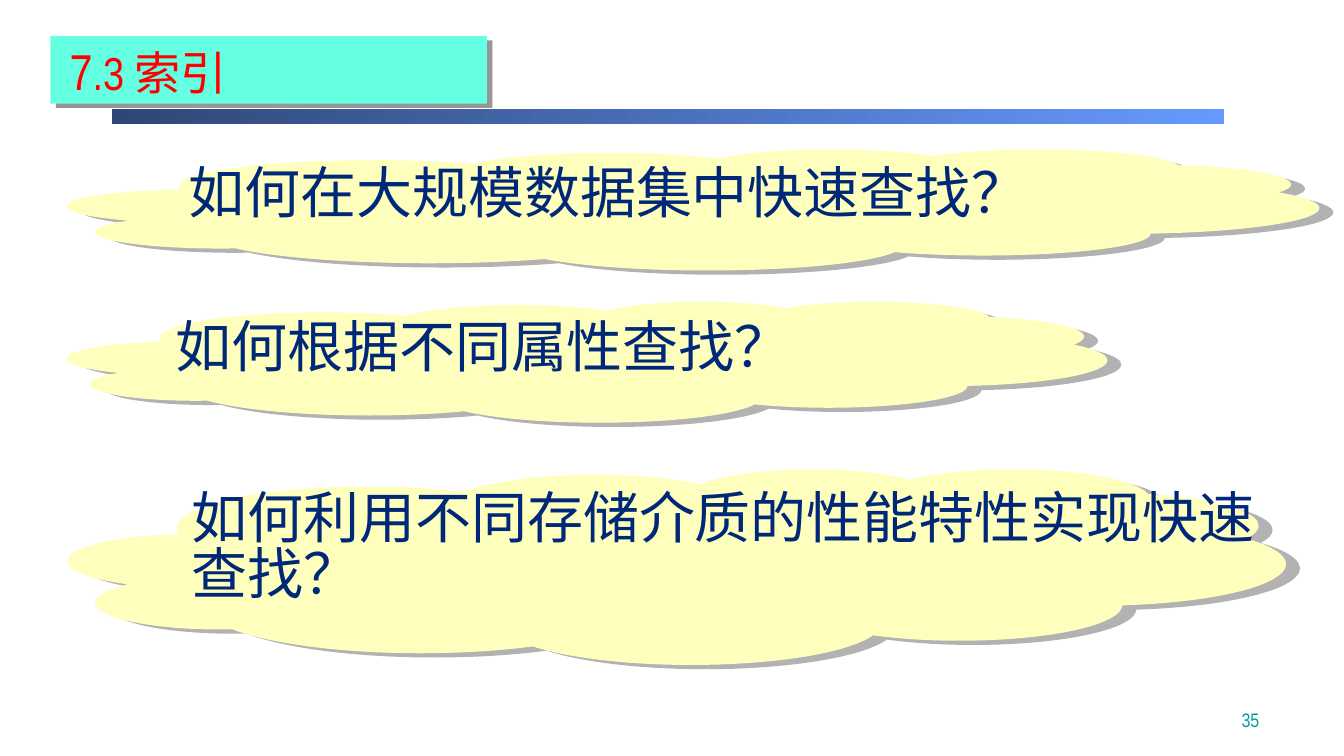
from lxml import etree
from pptx import Presentation
from pptx.dml.color import RGBColor
from pptx.enum.shapes import MSO_SHAPE
from pptx.enum.text import MSO_ANCHOR, PP_ALIGN
from pptx.oxml.ns import qn
from pptx.util import Inches, Pt

RECTANGLE, CLOUD = MSO_SHAPE.RECTANGLE, MSO_SHAPE.CLOUD_CALLOUT
TOP, BOTTOM = MSO_ANCHOR.TOP, MSO_ANCHOR.BOTTOM
LEFT, RIGHT = PP_ALIGN.LEFT, PP_ALIGN.RIGHT

NAVY = RGBColor(0x00, 0x28, 0x78)
CREAM = RGBColor(0xFF, 0xFF, 0xBD)
MINT = RGBColor(0x65, 0xFF, 0xE2)
RED = RGBColor(0xFF, 0x00, 0x00)
BLACK = RGBColor(0x00, 0x00, 0x00)
TEAL = RGBColor(0x00, 0x9E, 0xA1)
LIGHT_GREY = RGBColor(0xB2, 0xB2, 0xB2)
GREY = RGBColor(0x96, 0x96, 0x96)
BAR_DARK = RGBColor(0x2F, 0x47, 0x76)
BAR_LIGHT = RGBColor(0x66, 0x99, 0xFF)

LATIN, CHINESE = "Arial Narrow", "Noto Sans CJK SC"


def add_shadow(properties, color, distance, angle):
    """Append an outer shadow to shape or text properties."""
    effects = etree.SubElement(properties, qn("a:effectLst"))
    shadow = etree.SubElement(effects, qn("a:outerShdw"), dist=str(Pt(distance)),
                              dir=str(angle * 60000), algn="ctr", rotWithShape="0")
    etree.SubElement(shadow, qn("a:srgbClr"), val=str(color))


def add_text(para, text, size, color, font=LATIN, shadow=False):
    span = para.add_run()
    span.text = text
    span.font.size = Pt(size)
    span.font.bold = False
    span.font.color.rgb = color
    properties = span._r.get_or_add_rPr()
    if shadow:
        add_shadow(properties, BLACK, 2, 45)
    span.font.name = font
    etree.SubElement(properties, qn("a:ea"), typeface=font)


class Page:
    def __init__(self, deck):
        self.slide = deck.slides.add_slide(deck.slide_layouts[5])
        self.shapes = self.slide.shapes

    def shape(self, kind, place, color=None, shadow=None):
        item = self.shapes.add_shape(kind, *map(Inches, place))
        item.line.fill.background()
        if color is not None:
            item.fill.solid()
            item.fill.fore_color.rgb = color
        if shadow:
            add_shadow(item._element.spPr, *shadow)
        else:
            item.shadow.inherit = False
        return item

    def gradient_bar(self, place, colors):
        bar = self.shape(RECTANGLE, place)
        bar.fill.gradient()
        bar.fill.gradient_angle = 0
        for stop, color in zip(bar.fill.gradient_stops, colors):
            stop.color.rgb = color

    def format_frame(self, box, anchor, align, left=0.1, top=0.05):
        frame = box.text_frame
        frame.word_wrap = True
        frame.vertical_anchor = anchor
        frame.margin_left, frame.margin_top = Inches(left), Inches(top)
        para = frame.paragraphs[0]
        para.alignment = align
        return para

    def text_box(self, place, text, size, color, font=LATIN, spacing=1.0,
                 anchor=TOP, align=LEFT, top=0.05):
        box = self.shapes.add_textbox(*map(Inches, place))
        para = self.format_frame(box, anchor, align, top=top)
        para.line_spacing = spacing
        add_text(para, text, size, color, font)

    def title(self, place, spans):
        box = self.shapes.title
        box.left, box.top, box.width, box.height = map(Inches, place)
        para = self.format_frame(box, BOTTOM, LEFT, left=0.32)
        for text, size, font in spans:
            add_text(para, text, size, RED, font, shadow=True)
        # Bring the title in front of its banner
        self.shapes._spTree.append(box._element)

    def question(self, cloud_place, text_place, text):
        cloud = self.shape(CLOUD, cloud_place, CREAM, (LIGHT_GREY, 10.4, 17))
        cloud.adjustments[0], cloud.adjustments[1] = -0.203, 0.173
        self.text_box(text_place, text, 40, NAVY, CHINESE, spacing=0.83, top=0.11)


def main():
    deck = Presentation()
    deck.slide_width, deck.slide_height = Inches(13.33), Inches(7.5)
    page = Page(deck)

    # Bar under the heading
    page.gradient_bar((1.11, 1.08, 11.03, 0.15), (BAR_DARK, BAR_LIGHT))

    # Questions in clouds
    questions = [
        ((0.67, 1.48, 12.41, 1.2), (1.77, 1.57, 10.98, 0.77), "如何在大规模数据集中快速查找？"),
        ((0.67, 2.99, 10.31, 1.2), (1.64, 3.09, 9.65, 0.77), "如何根据不同属性查找？"),
        ((0.68, 4.65, 12.07, 1.94), (1.8, 4.79, 11.06, 1.45),
         "如何利用不同存储介质的性能特性实现快速查找？"),
    ]
    for cloud_place, text_place, text in questions:
        page.question(cloud_place, text_place, text)

    # Heading on its banner
    page.shape(RECTANGLE, (0.5, 0.36, 4.33, 0.67), MINT, (GREY, 5, 37))
    page.title((0.37, 0.38, 4.55, 0.67),
               [("7", 36, LATIN), (".3 ", 33, LATIN), ("索引", 33, CHINESE)])

    # Page number
    page.text_box((9.81, 6.81, 2.78, 0.5), "35", 14, TEAL, anchor=BOTTOM, align=RIGHT)

    deck.save("out.pptx")


if __name__ == "__main__":
    main()
